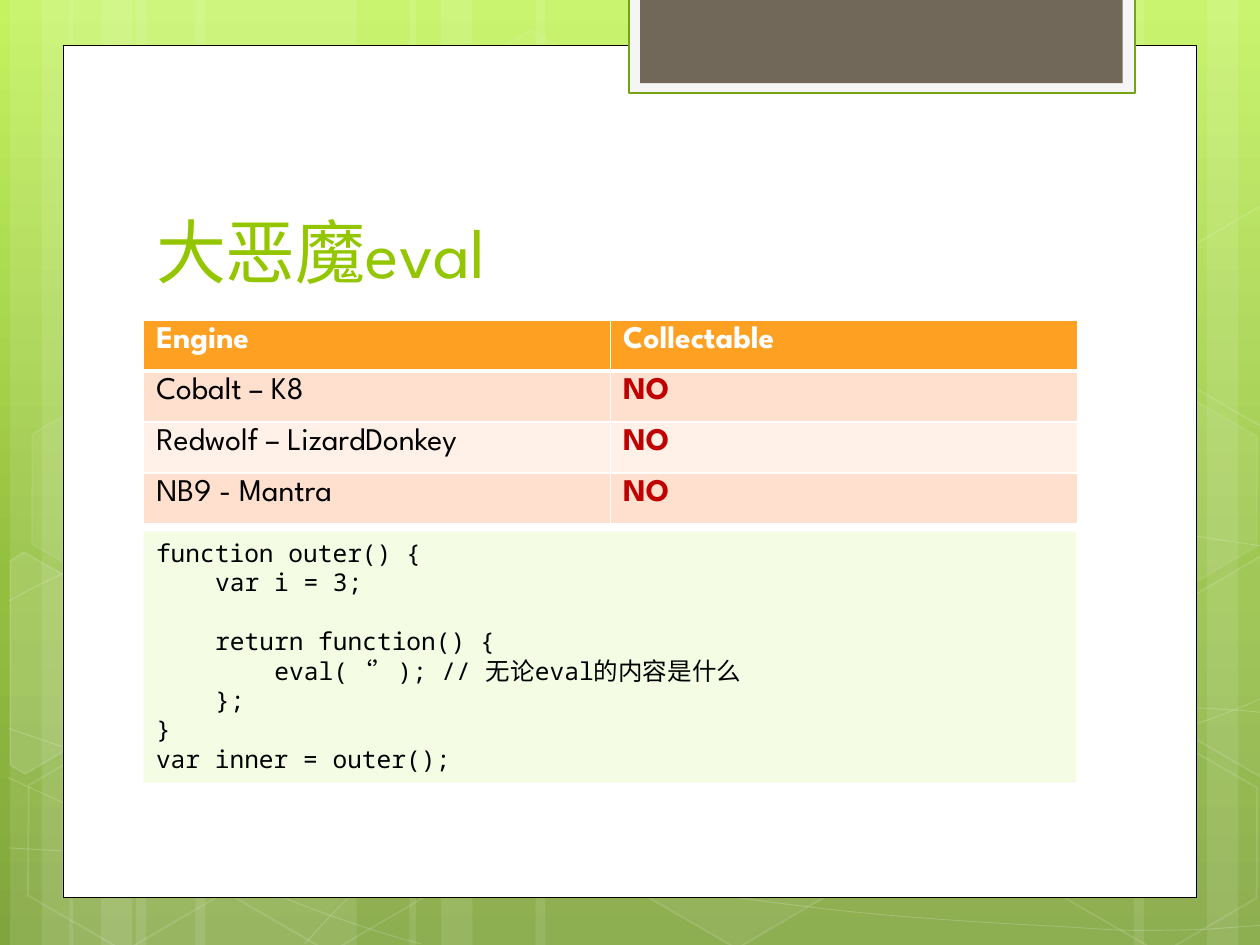
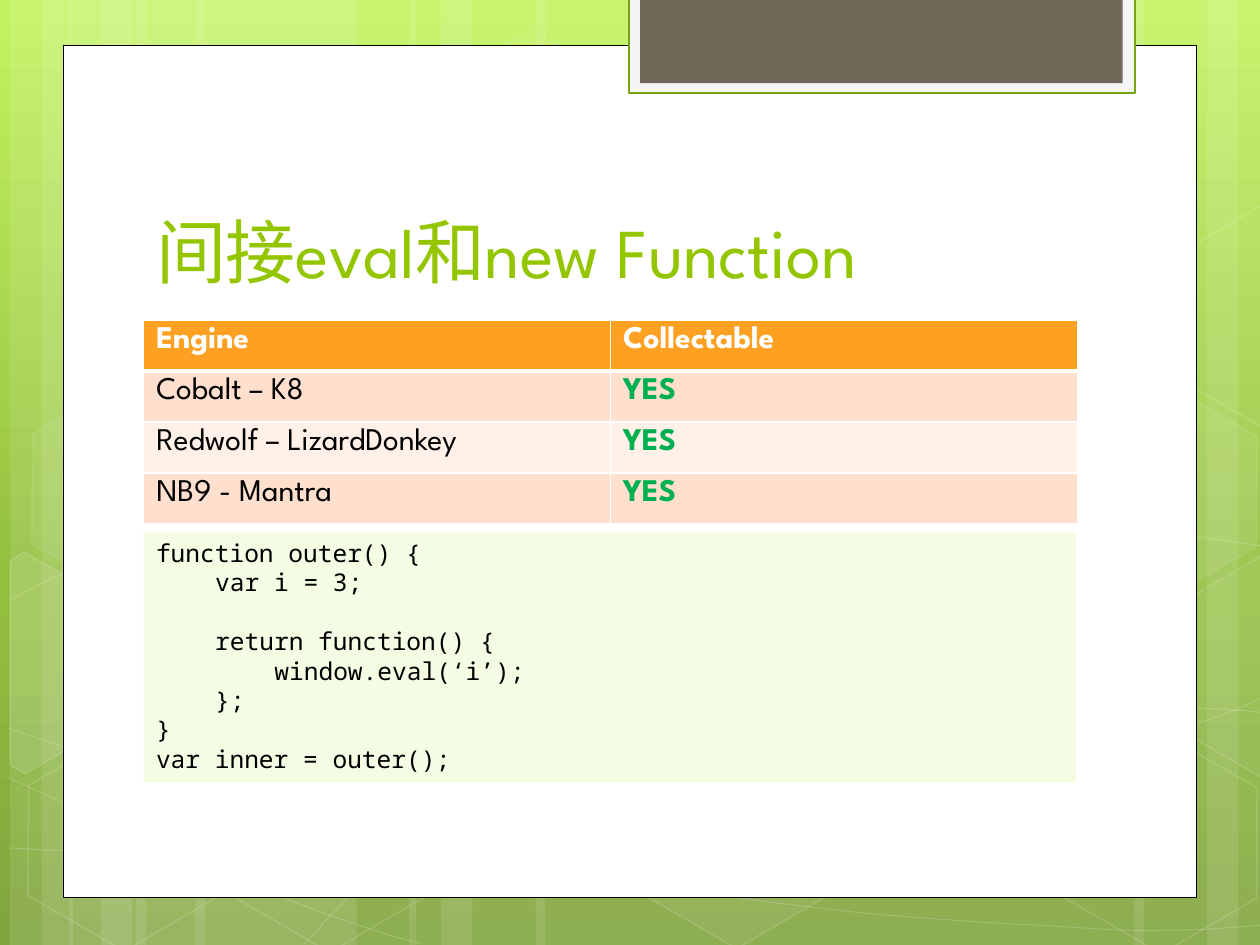
from dataclasses import dataclass
from math import cos, radians, sin
from typing import NamedTuple

from lxml.etree import Element, SubElement
from pptx import Presentation
from pptx.dml.color import RGBColor
from pptx.enum.shapes import MSO_SHAPE
from pptx.enum.text import MSO_ANCHOR, PP_ALIGN
from pptx.oxml.ns import qn
from pptx.util import Emu, Pt

PX = 9144
TILT = 30
COLORS = {
    "white": "FFFFFF", "black": "000000", "title": "94C600",
    "sky": "C3F35F", "meadow": "93BF3F", "ground": "81A53E",
    "tab": "F5F5F5", "tab_line": "74A510", "tab_core": "71685A",
    "header": "FEA022", "band_dark": "FFDFCD", "band_light": "FFF0E8",
    "code": "F4FCE4", "no": "C00000", "yes": "00B050",
}
BACKDROP_STOPS = ((0, "sky"), (62, "meadow"), (100, "ground"))
TITLE_FONT, CODE_FONT = "League Spartan", "Noto Sans Mono"
CODE_INDENT, CODE_LINE = 47, 16.8


class Frame(NamedTuple):
    """Left, top, width and height in px."""
    left: int
    top: int
    width: int
    height: int

    def emu(self) -> list[Emu]:
        """Return the four lengths in EMU."""
        return [Emu(length * PX) for length in self]


@dataclass(frozen=True)
class Paint:
    """Fill and line of a shape, with opacities in percent."""
    fill: str = ""
    opacity: int = 100
    line: str = ""
    weight: float = 1
    line_opacity: int = 100


class Thread(NamedTuple):
    """A curve of straight (2 numbers) and cubic (6 numbers) segments."""
    start: tuple[int, int]
    segments: tuple[tuple[int, ...], ...]


class Hexagon(NamedTuple):
    """A tilted hexagon of the backdrop."""
    left: int
    top: int
    opacity: int
    line_opacity: int


class CutHexagon(NamedTuple):
    """A tilted hexagon cut by the slide edge, with its turning centre."""
    centre: tuple[int, int]
    corners: tuple[tuple[int, int], ...]
    opacity: int


class CodeLine(NamedTuple):
    """A line of code with its indent level and the blank lines above it."""
    text: str
    level: int = 0
    blanks: int = 0


class EngineSlide(NamedTuple):
    """What differs between the slides."""
    title: str
    verdict: str
    verdict_color: str
    statement: str


STRIPES = ((108, 175), (8, 50), (33, 83), (155, 175), (55, 50), (80, 83),
           (733, 175), (958, 50), (900, 83), (425, 308), (325, 50), (350, 83))
STRIPE_PAINT = Paint("white", 10)
THREAD_PAINT = Paint(line="white", weight=0.5, line_opacity=20)
THREADS = (
    Thread((7, 673), ((61, 676, 115, 679, 190, 678), (265, 677, 358, 675, 458, 665),
                      (558, 655, 700, 636, 792, 617), (883, 598, 977, 568, 1007, 551))),
    Thread((7, 477), ((36, 461, 65, 446, 121, 431), (178, 416, 259, 394, 347, 387),
                      (436, 380, 544, 379, 654, 387), (764, 395, 947, 426, 1007, 434))),
    Thread((6, 617), ((127, 672, 247, 727, 334, 749),)),
    Thread((7, 578), ((38, 589, 70, 600, 128, 616), (186, 631, 273, 656, 357, 673),
                      (440, 690, 545, 708, 628, 718), (711, 729, 800, 733, 853, 736),
                      (905, 740, 919, 738, 945, 738), (971, 737, 989, 735, 1007, 734))),
    Thread((242, 749), ((260, 729, 278, 709, 302, 691), (326, 673, 360, 653, 388, 639),
                        (416, 625, 433, 619, 470, 609), (506, 599, 573, 585, 608, 578),
                        (644, 571, 649, 571, 680, 569), (711, 566, 760, 563, 794, 562),
                        (829, 561, 886, 562, 886, 562), (953, 562),
                        (971, 563, 988, 564, 997, 565), (1006, 566, 1003, 565, 1006, 566))),
)
HEXAGONS = (
    Hexagon(334, 36, 4, 8), Hexagon(497, 589, 6, 12), Hexagon(11, 591, 0, 12),
    Hexagon(14, 312, 7, 8), Hexagon(174, 592, 0, 12), Hexagon(753, 453, 10, 12),
    Hexagon(834, 593, 0, 12), Hexagon(834, 314, 7, 8),
)
CUT_HEXAGONS = (
    CutHexagon((36, 535), ((8, 445), (19, 438), (96, 482), (95, 570), (20, 614), (8, 607)), 10),
    CutHexagon((985, 520), ((926, 485), (1001, 441), (1009, 446), (1009, 613),
                            (1002, 617), (926, 573)), 4),
    CutHexagon((985, 241), ((926, 207), (1001, 163), (1010, 168), (1009, 335),
                            (1002, 339), (926, 295)), 0),
)
PANELS = (
    (Frame(50, 36, 900, 676), Paint("white", line="black", weight=0.5)),
    (Frame(499, -2, 402, 76), Paint("tab", line="tab_line", weight=1.25)),
    (Frame(508, -2, 383, 68), Paint("tab_core")),
)
TITLE_FRAME = Frame(114, 112, 768, 125)
TABLE_FRAME = Frame(114, 254, 741, 162)
CODE_FRAME = Frame(114, 422, 740, 199)
ENGINES = ("Cobalt – K8", "Redwolf – LizardDonkey", "NB9 - Mantra")
SLIDES = (
    EngineSlide("大恶魔eval", "NO", "no", "eval(‘’); // 无论eval的内容是什么"),
    EngineSlide("间接eval和new Function", "YES", "yes", "window.eval(‘i’);"),
)


def rgb(name: str) -> RGBColor:
    """Look up a colour."""
    return RGBColor.from_string(COLORS[name])


def set_fill(fill, name: str, opacity: int, holder) -> None:
    """Give a fill a solid colour and, inside its XML holder, an opacity."""
    if not name or not opacity:
        fill.background()
        return
    fill.solid()
    fill.fore_color.rgb = rgb(name)
    if opacity < 100:
        color = holder.find(f"{qn('a:solidFill')}/{qn('a:srgbClr')}")
        SubElement(color, qn("a:alpha"), val=str(opacity * 1000))


def apply_paint(shape, paint: Paint) -> None:
    """Set fill and line and drop the shadow."""
    properties = shape.element.spPr
    shape.shadow.inherit = False
    set_fill(shape.fill, paint.fill, paint.opacity, properties)
    if paint.line:
        shape.line.width = Pt(paint.weight)
    set_fill(shape.line.fill, paint.line, paint.line_opacity, properties.find(qn("a:ln")))


def add_painted(shapes, kind: MSO_SHAPE, frame: Frame, paint: Paint):
    """Add a preset shape."""
    shape = shapes.add_shape(kind, *frame.emu())
    apply_paint(shape, paint)
    return shape


def add_freeform(shapes, points: list[tuple[float, float]], paint: Paint, close: bool):
    """Add a freeform through points in px."""
    start, *rest = [(x * PX, y * PX) for x, y in points]
    builder = shapes.build_freeform(*start)
    builder.add_line_segments(rest, close=close)
    shape = builder.convert_to_shape()
    apply_paint(shape, paint)
    return shape


def add_thread(shapes, thread: Thread) -> None:
    """Draw a thread, joining each three points of a cubic segment to one curve."""
    pairs = [list(zip(segment[::2], segment[1::2])) for segment in thread.segments]
    points = [thread.start, *(point for segment in pairs for point in segment)]
    shape = add_freeform(shapes, points, THREAD_PAINT, close=False)
    steps = iter(list(shape.element.iter(qn("a:lnTo"))))
    for segment in pairs:
        lines = [next(steps) for _ in segment]
        if len(lines) == 3:
            curve = Element(qn("a:cubicBezTo"))
            lines[0].addprevious(curve)
            for line in lines:
                curve.append(line[0])
                line.getparent().remove(line)


def add_cut_hexagon(shapes, hexagon: CutHexagon) -> None:
    """Draw the upright outline of a cut hexagon and tilt it."""
    centre_x, centre_y = hexagon.centre
    cosine, sine = cos(radians(TILT)), sin(radians(TILT))
    offsets = [(x - centre_x, y - centre_y) for x, y in hexagon.corners]
    points = [(centre_x + x * cosine + y * sine, centre_y - x * sine + y * cosine)
              for x, y in offsets]
    paint = Paint("white", hexagon.opacity, "white", 1, 12)
    add_freeform(shapes, points, paint, close=True).rotation = TILT


def set_background(layout) -> None:
    """Give the layout its vertical gradient."""
    fill = layout.background.fill
    fill.gradient()
    fill.gradient_angle = 270
    stops = next(layout.element.iter(qn("a:gsLst")))
    for stop in list(stops):
        stops.remove(stop)
    for position, color in BACKDROP_STOPS:
        stop = SubElement(stops, qn("a:gs"), pos=str(position * 1000))
        SubElement(stop, qn("a:srgbClr"), val=COLORS[color])


def move_backdrop_to_layout(page, layout) -> None:
    """Draw ornaments and panels and hand them to the layout that all slides share."""
    ornaments = page.shapes.add_group_shape().shapes
    for left, width in STRIPES:
        add_painted(ornaments, MSO_SHAPE.RECTANGLE, Frame(left, 0, width, 750), STRIPE_PAINT)
    for thread in THREADS:
        add_thread(ornaments, thread)
    for hexagon in HEXAGONS:
        paint = Paint("white", hexagon.opacity, "white", 1, hexagon.line_opacity)
        frame = Frame(hexagon.left, hexagon.top, 175, 152)
        shape = add_painted(ornaments, MSO_SHAPE.HEXAGON, frame, paint)
        shape.adjustments[0], shape.adjustments[1] = 0.285, 1.155
        shape.rotation = TILT
    for cut_hexagon in CUT_HEXAGONS:
        add_cut_hexagon(ornaments, cut_hexagon)
    for frame, paint in PANELS:
        add_painted(page.shapes, MSO_SHAPE.RECTANGLE, frame, paint)
    for placeholder in list(layout.placeholders):
        placeholder.element.getparent().remove(placeholder.element)
    for shape in list(page.shapes):
        layout.element.cSld.spTree.append(shape.element)


def format_para(para, font: str, size: int, color: str, bold: bool = False) -> None:
    """Format every run of a paragraph."""
    for span in para.runs:
        span.font.name, span.font.size, span.font.bold = font, Pt(size), bold
        span.font.color.rgb = rgb(color)


def add_title(page, title: str) -> None:
    """Write the slide title."""
    text_frame = page.shapes.add_textbox(*TITLE_FRAME.emu()).text_frame
    text_frame.word_wrap = True
    text_frame.vertical_anchor = MSO_ANCHOR.BOTTOM
    text_frame.text = title
    format_para(text_frame.paragraphs[0], TITLE_FONT, 40, "title")


def set_border(cell, side: str, weight: int) -> None:
    """Draw a white border on one side of a cell."""
    border = Element(qn(f"a:{side}"), w=str(Pt(weight)))
    SubElement(SubElement(border, qn("a:solidFill")), qn("a:srgbClr"), val=COLORS["white"])
    cell._tc.get_or_add_tcPr().insert(0, border)


def add_engine_table(page, content: EngineSlide) -> None:
    """Draw the table of engines and verdicts."""
    rows = [("Engine", "Collectable"), *((engine, content.verdict) for engine in ENGINES)]
    table = page.shapes.add_table(len(rows), 2, *TABLE_FRAME.emu()).table
    for row_index, row in enumerate(rows):
        is_header = row_index == 0
        band = "header" if is_header else "band_dark" if row_index % 2 else "band_light"
        colors = ("white", "white") if is_header else ("black", content.verdict_color)
        for column, (text, color) in enumerate(zip(row, colors)):
            cell = table.cell(row_index, column)
            cell.fill.solid()
            cell.fill.fore_color.rgb = rgb(band)
            set_border(cell, "lnB", 3 if is_header else 1)
            set_border(cell, "lnT", 3 if row_index == 1 else 1)
            cell.text_frame.text = text
            format_para(cell.text_frame.paragraphs[0], TITLE_FONT, 18, color, color != "black")


def add_code(page, statement: str) -> None:
    """Draw the code listing around a statement."""
    lines = (
        CodeLine("function outer() {"), CodeLine("var i = 3;", 1),
        CodeLine("return function() {", 1, blanks=1), CodeLine(statement, 2),
        CodeLine("};", 1), CodeLine("}"), CodeLine("var inner = outer();"),
    )
    text_frame = add_painted(page.shapes, MSO_SHAPE.RECTANGLE, CODE_FRAME, Paint("code")).text_frame
    text_frame.word_wrap = True
    text_frame.vertical_anchor = MSO_ANCHOR.TOP
    text_frame.text = "\n".join(line.text for line in lines)
    for para, line in zip(text_frame.paragraphs, lines):
        para.alignment = PP_ALIGN.LEFT
        para.space_before = Pt(line.blanks * CODE_LINE)
        para._p.get_or_add_pPr().set("marL", str(line.level * CODE_INDENT * PX))
        format_para(para, CODE_FONT, 14, "black")


def main() -> None:
    """Build the deck."""
    deck = Presentation()
    deck.slide_width, deck.slide_height = Emu(1000 * PX), Emu(750 * PX)
    layout = deck.slide_layouts[6]
    set_background(layout)
    pages = [deck.slides.add_slide(layout) for _ in SLIDES]
    move_backdrop_to_layout(pages[0], layout)
    for page, content in zip(pages, SLIDES):
        add_title(page, content.title)
        add_engine_table(page, content)
        add_code(page, content.statement)
    deck.save("out.pptx")


if __name__ == "__main__":
    main()
